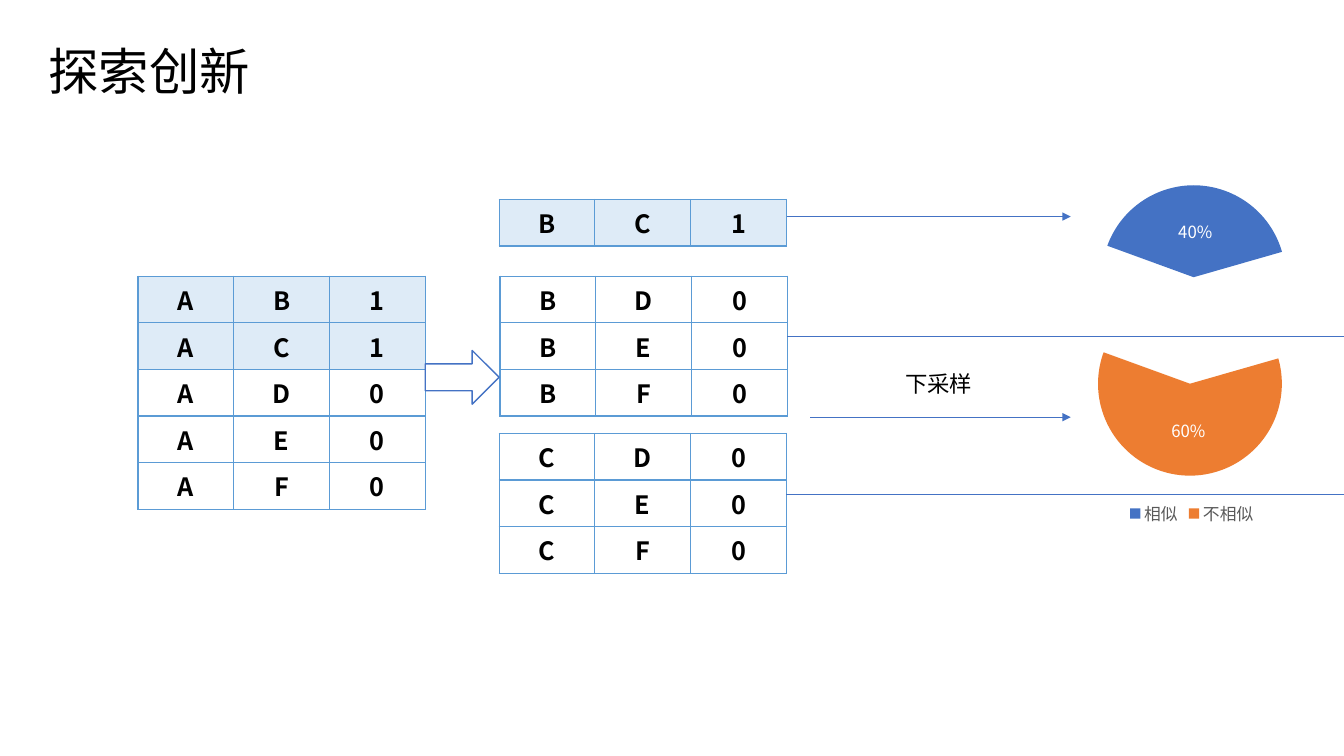
from lxml import etree
from pptx import Presentation
from pptx.chart.data import CategoryChartData
from pptx.dml.color import RGBColor
from pptx.enum.chart import XL_CHART_TYPE as ChartType
from pptx.enum.chart import XL_LABEL_POSITION as LabelPosition
from pptx.enum.chart import XL_LEGEND_POSITION as LegendPosition
from pptx.enum.shapes import MSO_CONNECTOR as Connector
from pptx.enum.shapes import MSO_SHAPE as ShapeKind
from pptx.enum.text import MSO_ANCHOR as Anchor
from pptx.enum.text import PP_ALIGN as Align
from pptx.oxml.ns import qn
from pptx.util import Pt

FONT = "Noto Sans CJK SC"
BLACK = RGBColor(0, 0, 0)
WHITE = RGBColor(0xFF, 0xFF, 0xFF)
GRAY = RGBColor(0x59, 0x59, 0x59)
BLUE = RGBColor(0x44, 0x72, 0xC4)
ORANGE = RGBColor(0xED, 0x7D, 0x31)
BORDER = RGBColor(0x5B, 0x9B, 0xD5)
PALE_BLUE = RGBColor(0xDE, 0xEB, 0xF7)

COLUMN_WIDTH = 68.4
ROW_HEIGHT = 33.3


def style_font(font, size, color):
    font.name = FONT
    font.size = Pt(size)
    font.color.rgb = color


def add_run(paragraph, text, size, bold=False):
    run = paragraph.add_run()
    run.text = text
    style_font(run.font, size, BLACK)
    run.font.bold = bold
    properties = run._r.get_or_add_rPr()
    etree.SubElement(properties, qn("a:ea"), typeface=FONT)


def add_text(slide, left, top, width, height, text, size, anchor=Anchor.TOP, spacing=1.0):
    box = slide.shapes.add_textbox(Pt(left), Pt(top), Pt(width), Pt(height))
    frame = box.text_frame
    frame.word_wrap = True
    frame.vertical_anchor = anchor
    paragraph = frame.paragraphs[0]
    paragraph.line_spacing = spacing
    add_run(paragraph, text, size)


def set_borders(cell):
    properties = cell._tc.get_or_add_tcPr()
    for position, side in enumerate(("a:lnL", "a:lnR", "a:lnT", "a:lnB")):
        line = etree.Element(qn(side), w=str(Pt(1)))
        fill = etree.SubElement(line, qn("a:solidFill"))
        etree.SubElement(fill, qn("a:srgbClr"), val=str(BORDER))
        properties.insert(position, line)


def add_pair_table(slide, left, top, rows):
    frame = slide.shapes.add_table(
        len(rows), 3, Pt(left), Pt(top), Pt(3 * COLUMN_WIDTH), Pt(ROW_HEIGHT * len(rows))
    )
    table = frame.table
    table.first_row = False
    table.horz_banding = False
    for column in table.columns:
        column.width = Pt(COLUMN_WIDTH)
    for row, values in zip(table.rows, rows):
        for cell, value in zip(row.cells, values):
            if values[-1] == "1":
                cell.fill.solid()
                cell.fill.fore_color.rgb = PALE_BLUE
            else:
                cell.fill.background()
            set_borders(cell)
            paragraph = cell.text_frame.paragraphs[0]
            paragraph.alignment = Align.CENTER
            add_run(paragraph, value, 18, bold=True)


def add_block_arrow(slide, left, top, width, height):
    shape = slide.shapes.add_shape(
        ShapeKind.RIGHT_ARROW, Pt(left), Pt(top), Pt(width), Pt(height)
    )
    shape.shadow.inherit = False
    shape.fill.solid()
    shape.fill.fore_color.rgb = WHITE
    shape.line.color.rgb = BLUE
    shape.line.width = Pt(1)


def add_line(slide, kind, start, end):
    line = slide.shapes.add_connector(kind, *(Pt(value) for value in start + end))
    line.line.color.rgb = BLUE
    line.line.width = Pt(0.5)
    etree.SubElement(line._element.spPr, qn("a:effectLst"))
    return line


def add_arrow(slide, left, right, y):
    arrow = add_line(slide, Connector.STRAIGHT, (left, y), (right, y))
    etree.SubElement(arrow.line._get_or_add_ln(), qn("a:tailEnd"), type="triangle")


def add_bracket(slide, x, bottom, top, reach):
    bracket = add_line(slide, Connector.ELBOW, (x, bottom), (x, top))
    bracket.width = 1
    guides = bracket._element.spPr.find(qn("a:prstGeom")).get_or_add_avLst()
    etree.SubElement(guides, qn("a:gd"), name="adj1", fmla=f"val {Pt(reach) * 100000}")


def add_similarity_pie(slide, left, top, width, height):
    data = CategoryChartData()
    data.categories = ["相似", "不相似"]
    data.add_series("Series 1", (40, 60))
    chart = slide.shapes.add_chart(
        ChartType.PIE, Pt(left), Pt(top), Pt(width), Pt(height), data
    ).chart
    style_font(chart.font, 10, BLACK)
    chart.has_title = False
    chart.has_legend = True
    chart.legend.position = LegendPosition.BOTTOM
    chart.legend.include_in_layout = False
    style_font(chart.legend.font, 12, GRAY)
    plot = chart.plots[0]
    plot.vary_by_categories = True
    series = plot.series[0]
    for index, color in enumerate((BLUE, ORANGE)):
        fill = series.points[index].format.fill
        fill.solid()
        fill.fore_color.rgb = color
    labels = series.data_labels
    labels.show_percentage = True
    labels.show_value = False
    labels.number_format = "0%"
    labels.number_format_is_linked = False
    labels.position = LabelPosition.CENTER
    style_font(labels.font, 12, WHITE)
    explosion = etree.Element(qn("c:explosion"), val="58")
    series._element.find(qn("c:dPt")).addprevious(explosion)
    pie = plot._element
    angle = pie.find(qn("c:firstSliceAng"))
    if angle is None:
        angle = etree.SubElement(pie, qn("c:firstSliceAng"))
    angle.set("val", "290")


def main():
    presentation = Presentation()
    presentation.slide_width = Pt(960)
    presentation.slide_height = Pt(540)
    slide = presentation.slides.add_slide(presentation.slide_layouts[6])

    add_text(slide, 27.4, 12.2, 751.7, 54.7, "探索创新", 36, Anchor.MIDDLE, 1.5)
    add_pair_table(slide, 98.6, 197.3, ("AB1", "AC1", "AD0", "AE0", "AF0"))
    add_pair_table(slide, 356.5, 142.5, ("BC1",))
    add_pair_table(slide, 357.2, 197.3, ("BD0", "BE0", "BF0"))
    add_pair_table(slide, 356.5, 309.6, ("CD0", "CE0", "CF0"))
    add_block_arrow(slide, 303.8, 250.3, 52.7, 38.4)
    add_arrow(slide, 561.8, 764.8, 154.7)
    add_bracket(slide, 561.8, 352.8, 240.4, 18)
    add_arrow(slide, 578.6, 764.8, 298)
    add_text(slide, 639.4, 260.6, 64.8, 26.6, "下采样", 16)
    add_similarity_pie(slide, 681.8, 122.4, 339.1, 256.3)
    presentation.save("out.pptx")


if __name__ == "__main__":
    main()
